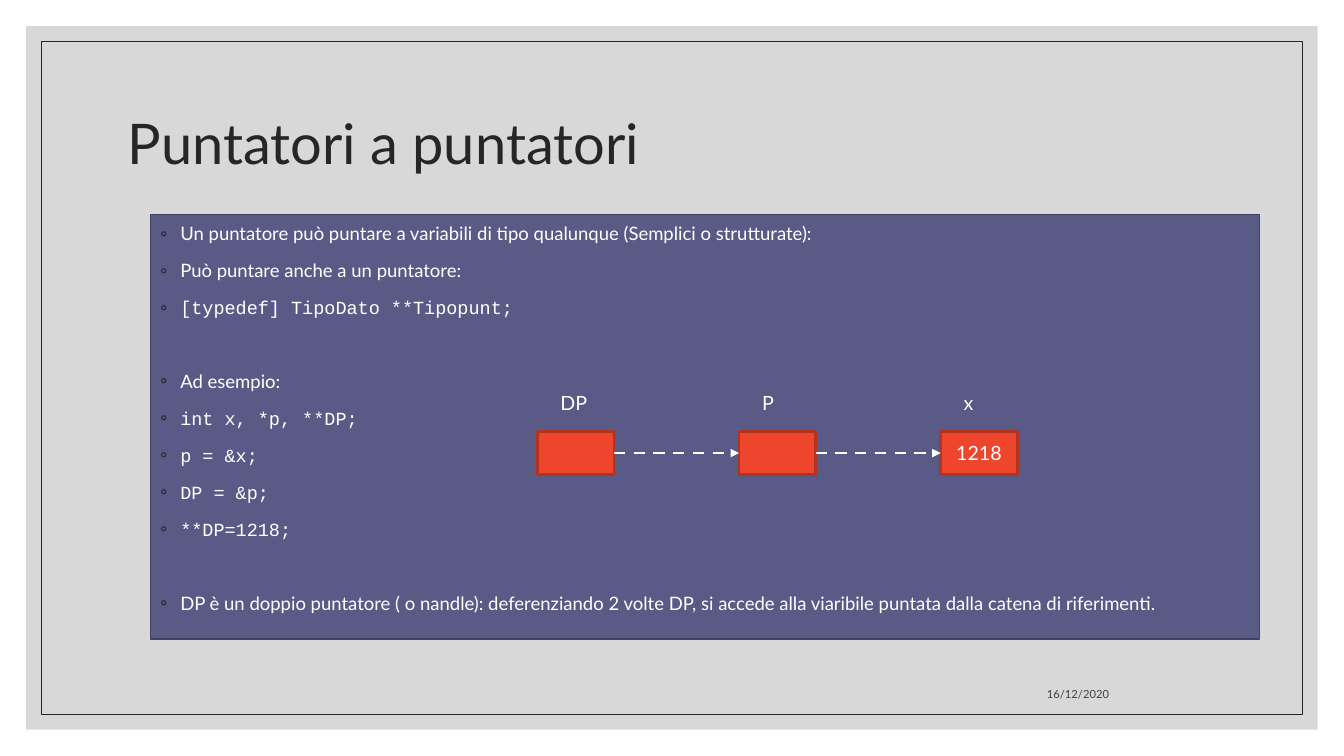
"""Build the slide on pointers to pointers."""
from pptx import Presentation
from pptx.dml.color import RGBColor
from pptx.enum.dml import MSO_LINE_DASH_STYLE as Dash
from pptx.enum.shapes import MSO_CONNECTOR as Connector, MSO_SHAPE as Shape
from pptx.enum.text import MSO_ANCHOR as Anchor, PP_ALIGN as Align
from pptx.oxml.ns import qn
from pptx.util import Inches, Pt
from lxml.etree import SubElement

TITLE = "Puntatori a puntatori"
DATE = "16/12/2020"
TEXT, CODE = "Lato", "Courier New"
GROUPS = [
    [
        (TEXT, "Un puntatore può puntare a variabili di tipo qualunque (Semplici o strutturate):"),
        (TEXT, "Può puntare anche a un puntatore:"),
        (CODE, "[typedef] TipoDato **Tipopunt;"),
    ],
    [
        (TEXT, "Ad esempio:"),
        (CODE, "int x, *p, **DP;"),
        (CODE, "p = &x;"),
        (CODE, "DP = &p;"),
        (CODE, "**DP=1218;"),
    ],
    [
        (TEXT, "DP è un doppio puntatore ( o nandle): deferenziando 2 volte DP, "
               "si accede alla viaribile puntata dalla catena di riferimenti."),
    ],
]
CELLS = [("DP", ""), ("P", ""), ("x", "1218")]
COLOURS = {
    "white": "FFFFFF", "frame": "BFBFBF", "ink": "262626", "date": "404040",
    "panel": "595A85", "panel edge": "414262", "cell": "EE462D", "cell edge": "B03421",
}
WIDTH, HEIGHT = 13.33, 7.5
BODY_SIZE, LINE_GAP, GROUP_GAP = 13.2, 9, 35.4
CELL_LEFT, CELL_TOP, CELL_PITCH = 5.33, 4.28, 2
CELL_WIDTH, CELL_HEIGHT = 0.76, 0.43
LABEL_SHIFT, LABEL_RISE, LABEL_WIDTH, LABEL_HEIGHT = 0.13, 0.45, 0.49, 0.33

presentation = Presentation()
presentation.slide_width, presentation.slide_height = Inches(WIDTH), Inches(HEIGHT)
slide = presentation.slides.add_slide(presentation.slide_layouts[6])


def colour(name):
    return RGBColor.from_string(COLOURS[name])


def add_box(left, top, width, height, fill=None, edge=None, line_width=1):
    shape = slide.shapes.add_shape(Shape.RECTANGLE, *map(Inches, (left, top, width, height)))
    shape.shadow.inherit = False
    for part, name in ((shape.fill, fill), (shape.line.fill, edge)):
        if name:
            part.solid()
            part.fore_color.rgb = colour(name)
        else:
            part.background()
    if edge:
        shape.line.width = Pt(line_width)
    return shape


def add_run(paragraph, text, size, name="white", font=TEXT):
    run = paragraph.add_run()
    run.text = text
    run.font.size, run.font.name = Pt(size), font
    run.font.color.rgb = colour(name)


def add_text(left, top, width, height, text, size, name="white",
             anchor=Anchor.TOP, align=Align.LEFT):
    frame = slide.shapes.add_textbox(*map(Inches, (left, top, width, height))).text_frame
    frame.word_wrap, frame.vertical_anchor = True, anchor
    paragraph = frame.paragraphs[0]
    paragraph.alignment = align
    add_run(paragraph, text, size, name)
    return paragraph


def add_bullet(paragraph):
    properties = paragraph._p.get_or_add_pPr()
    properties.set("marL", str(Inches(0.2)))
    properties.set("indent", str(-Inches(0.2)))
    bullet_colour = SubElement(properties, qn("a:buClr"))
    SubElement(bullet_colour, qn("a:srgbClr"), val=COLOURS["ink"])
    SubElement(properties, qn("a:buFont"), typeface=TEXT)
    SubElement(properties, qn("a:buChar"), char="◦")


def add_arrow(start, end, middle):
    arrow = slide.shapes.add_connector(
        Connector.STRAIGHT, *map(Inches, (start, middle, end, middle)))
    arrow.line.color.rgb = colour("white")
    arrow.line.width, arrow.line.dash_style = Pt(2), Dash.DASH
    SubElement(arrow.line._get_or_add_ln(), qn("a:tailEnd"), type="triangle")
    SubElement(arrow._element.spPr, qn("a:effectLst"))


def add_centred_box(margin, **style):
    return add_box(margin, margin, WIDTH - 2 * margin, HEIGHT - 2 * margin, **style)


backdrop = add_centred_box(0.26, fill="frame")
backdrop_colour = backdrop._element.spPr.find(".//" + qn("a:srgbClr"))
SubElement(backdrop_colour, qn("a:alpha"), val="60000")
add_centred_box(0.41, edge="ink", line_width=0.5)

title = add_text(1.17, 0.7, 11, 1.5, TITLE, 40, "ink", Anchor.MIDDLE)
title.line_spacing = 0.9

panel = add_box(1.49, 2.13, 11, 4.21, "panel", "panel edge").text_frame
panel.word_wrap, panel.vertical_anchor = True, Anchor.TOP
for group_index, group in enumerate(GROUPS):
    for line_index, (font, text) in enumerate(group):
        first = group_index == line_index == 0
        paragraph = panel.paragraphs[0] if first else panel.add_paragraph()
        paragraph.alignment, paragraph.line_spacing = Align.LEFT, 1.1
        gap = LINE_GAP if line_index else GROUP_GAP
        paragraph.space_before = Pt(0 if first else gap)
        add_bullet(paragraph)
        add_run(paragraph, text, BODY_SIZE, font=font)

add_text(7.94, 6.6, 3.16, 0.4, DATE, 8, "date", Anchor.BOTTOM, Align.RIGHT)

for index, (label, value) in enumerate(CELLS):
    left = CELL_LEFT + index * CELL_PITCH
    cell = add_box(left, CELL_TOP, CELL_WIDTH, CELL_HEIGHT, "cell", "cell edge", 2).text_frame
    if value:
        cell.vertical_anchor = Anchor.MIDDLE
        cell.paragraphs[0].alignment = Align.CENTER
        add_run(cell.paragraphs[0], value, 14)
    add_text(left + LABEL_SHIFT, CELL_TOP - LABEL_RISE, LABEL_WIDTH, LABEL_HEIGHT, label, 14)
    if index:
        add_arrow(left - CELL_PITCH + CELL_WIDTH, left, CELL_TOP + CELL_HEIGHT / 2)

presentation.save("out.pptx")
